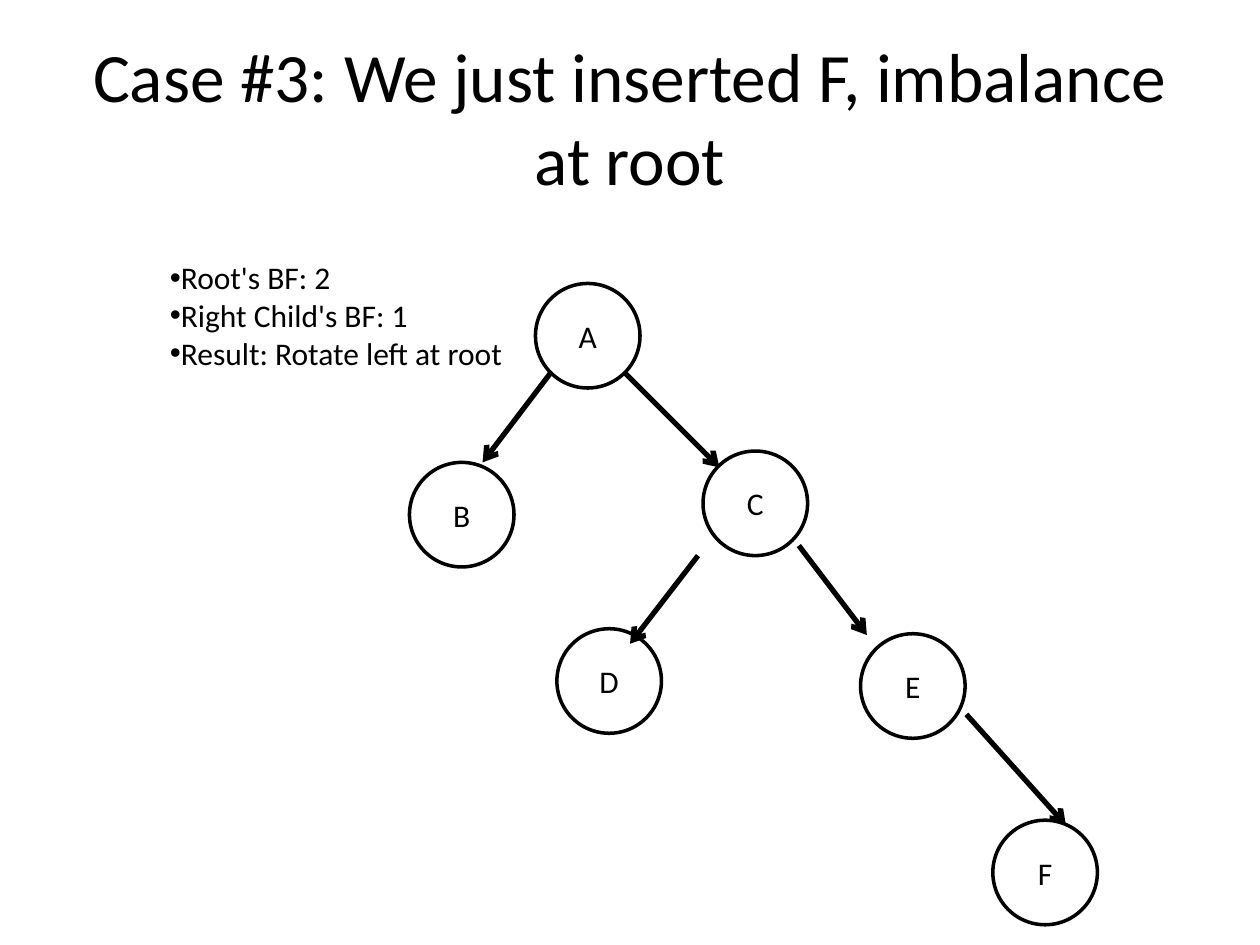
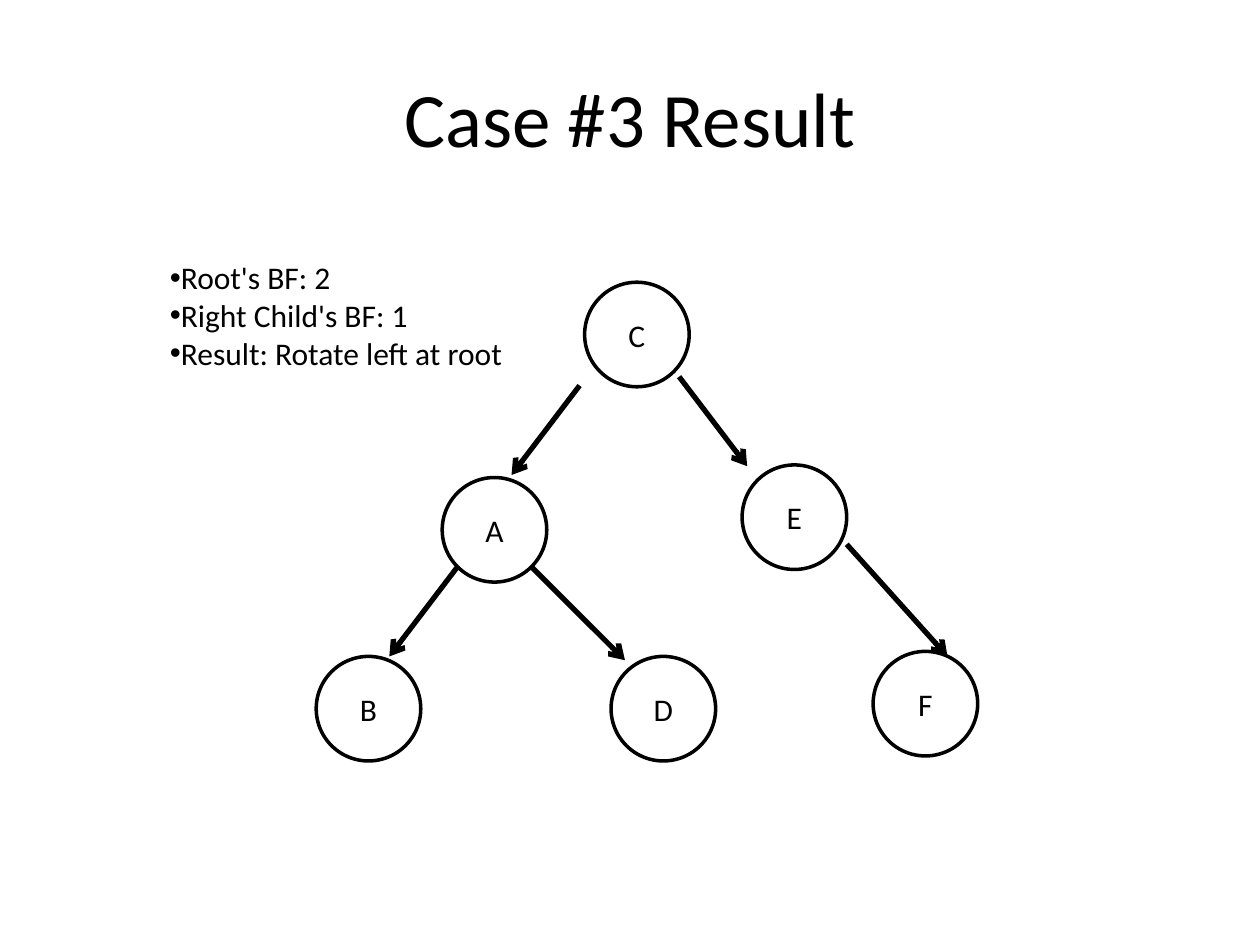
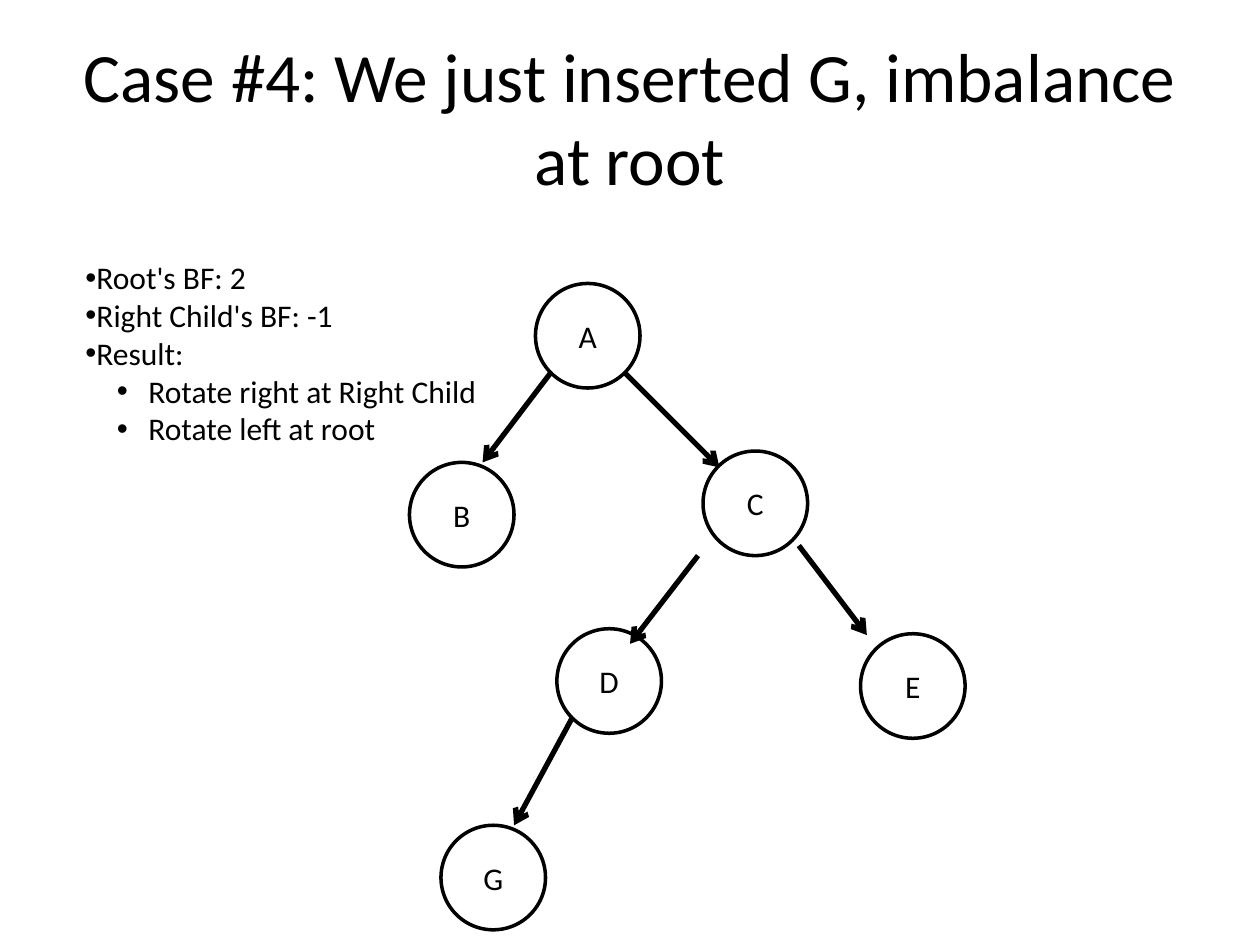
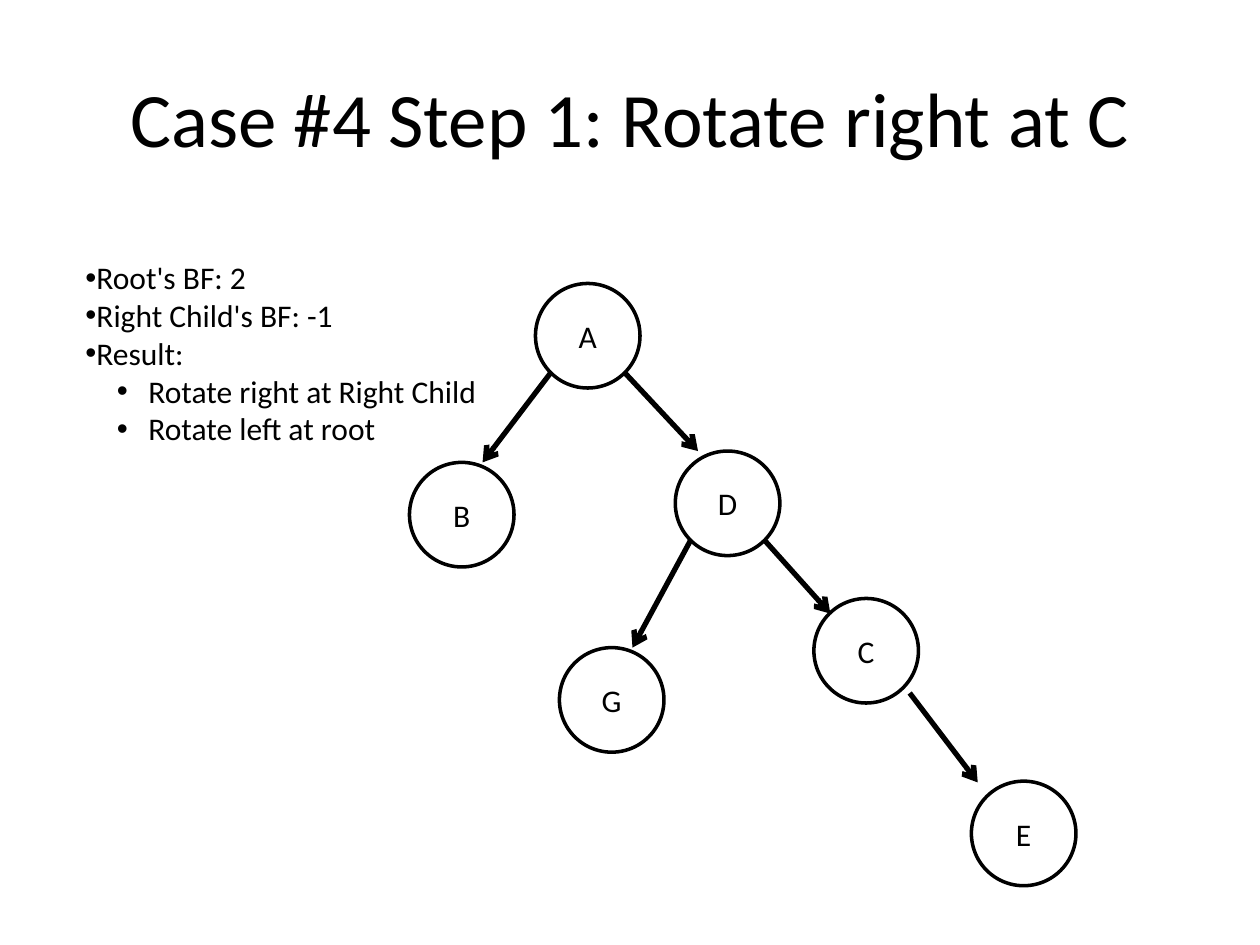
"""Build four slides that show AVL tree rotations for cases 3 and 4."""
from dataclasses import dataclass

from lxml import etree
from pptx import Presentation
from pptx.dml.color import RGBColor
from pptx.enum.shapes import MSO_CONNECTOR, MSO_SHAPE
from pptx.enum.text import MSO_ANCHOR, PP_ALIGN
from pptx.oxml.ns import qn
from pptx.util import Inches, Pt

CENTER = PP_ALIGN.CENTER
MIDDLE = MSO_ANCHOR.MIDDLE
OVAL = MSO_SHAPE.OVAL
STRAIGHT = MSO_CONNECTOR.STRAIGHT


@dataclass(frozen=True)
class Theme:
    font: str = "Calibri"
    ink: RGBColor = RGBColor(0, 0, 0)
    paper: RGBColor = RGBColor(255, 255, 255)
    title_size: float = 44
    long_title_size: float = 39.6
    body_size: float = 18
    node_line: float = 2
    arrow_line: float = 3
    node_diameter: float = 0.83


THEME = Theme()
TITLE_BOX = (0.5, 0.3, 9, 1.25)
SUB_BULLET_MARGIN = 0.5
SUB_BULLET_HANGING = 0.25

CASE_3_NOTES = {
    "box": (1.25, 2, 3.08, 1.31),
    "lines": [
        (0, "Root's BF: 2"),
        (0, "Right Child's BF: 1"),
        (0, "Result: Rotate left at root"),
    ],
}
CASE_4_NOTES = {
    "box": (0.58, 2, 3.75, 1.92),
    "lines": [
        (0, "Root's BF: 2"),
        (0, "Right Child's BF: -1"),
        (0, "Result:"),
        (1, "Rotate right at Right Child"),
        (1, "Rotate left at root"),
    ],
}

ROOT_NODES = {"A": (4.25, 2.25), "B": (3.25, 3.67)}
ROOT_ARROW = (4.37, 2.96, 3.83, 3.67)
START_NODES = {**ROOT_NODES, "C": (5.58, 3.58), "D": (4.42, 4.99), "E": (6.83, 5.03)}
START_ARROWS = [
    ROOT_ARROW,
    (4.96, 2.96, 5.71, 3.71),
    (5.54, 4.41, 5, 5.11),
    (6.34, 4.33, 6.88, 5.04),
]

TREES = [
    {
        "title": "Case #3: We just inserted F, imbalance at root",
        "title_size": THEME.long_title_size,
        "nodes": {**START_NODES, "F": (7.88, 6.51)},
        "arrows": [*START_ARROWS, (7.67, 5.67, 8.46, 6.55)],
        "notes": CASE_3_NOTES,
    },
    {
        "title": "Case #3 Result",
        "title_size": THEME.title_size,
        "nodes": {
            "A": (3.51, 3.79), "B": (2.51, 5.21), "C": (4.64, 2.24),
            "D": (4.85, 5.21), "E": (5.89, 3.69), "F": (6.93, 5.17),
        },
        "arrows": [
            (3.63, 4.5, 3.09, 5.21),
            (4.22, 4.5, 4.96, 5.24),
            (4.6, 3.06, 4.06, 3.77),
            (5.39, 2.99, 5.93, 3.7),
            (6.72, 4.32, 7.52, 5.21),
        ],
        "notes": CASE_3_NOTES,
    },
    {
        "title": "Case #4: We just inserted G, imbalance at root",
        "title_size": THEME.long_title_size,
        "nodes": {**START_NODES, "G": (3.5, 6.55)},
        "arrows": [*START_ARROWS, (4.54, 5.7, 4.08, 6.55)],
        "notes": CASE_4_NOTES,
    },
    {
        "title": "Case #4 Step 1: Rotate right at C",
        "title_size": THEME.title_size,
        "nodes": {
            **ROOT_NODES, "C": (6.46, 4.75), "D": (5.36, 3.58),
            "E": (7.71, 6.2), "G": (4.44, 5.14),
        },
        "arrows": [
            ROOT_ARROW,
            (4.96, 2.96, 5.54, 3.58),
            (6.07, 4.29, 6.59, 4.87),
            (7.22, 5.5, 7.76, 6.21),
            (5.48, 4.29, 5.02, 5.14),
        ],
        "notes": CASE_4_NOTES,
    },
]


def add_run(paragraph, text, size):
    run = paragraph.add_run()
    run.text = text
    run.font.name = THEME.font
    run.font.size = Pt(size)
    run.font.color.rgb = THEME.ink


def add_centered_text(shape, text, size):
    frame = shape.text_frame
    frame.word_wrap = True
    frame.vertical_anchor = MIDDLE
    paragraph = frame.paragraphs[0]
    paragraph.alignment = CENTER
    add_run(paragraph, text, size)


presentation = Presentation()
presentation.slide_width = Inches(10)
presentation.slide_height = Inches(7.5)
blank_layout = presentation.slide_layouts[6]

for tree in TREES:
    slide = presentation.slides.add_slide(blank_layout)
    slide.background.fill.solid()
    slide.background.fill.fore_color.rgb = THEME.paper

    title = slide.shapes.add_textbox(*map(Inches, TITLE_BOX))
    add_centered_text(title, tree["title"], tree["title_size"])

    for label, (left, top) in tree["nodes"].items():
        diameter = Inches(THEME.node_diameter)
        node = slide.shapes.add_shape(OVAL, Inches(left), Inches(top), diameter, diameter)
        node.shadow.inherit = False
        node.fill.background()
        node.line.color.rgb = THEME.ink
        node.line.width = Pt(THEME.node_line)
        add_centered_text(node, label, THEME.body_size)

    for ends in tree["arrows"]:
        arrow = slide.shapes.add_connector(STRAIGHT, *map(Inches, ends))
        arrow.line.color.rgb = THEME.ink
        arrow.line.width = Pt(THEME.arrow_line)
        etree.SubElement(arrow.line._get_or_add_ln(), qn("a:tailEnd"), type="arrow")
        etree.SubElement(arrow._element.spPr, qn("a:effectLst"))

    notes = slide.shapes.add_textbox(*map(Inches, tree["notes"]["box"]))
    frame = notes.text_frame
    frame.word_wrap = True
    for index, (level, text) in enumerate(tree["notes"]["lines"]):
        paragraph = frame.add_paragraph() if index else frame.paragraphs[0]
        paragraph.level = level
        properties = paragraph._p.get_or_add_pPr()
        properties.set("marL", str(Inches(SUB_BULLET_MARGIN * level)))
        properties.set("indent", str(Inches(-SUB_BULLET_HANGING * level)))
        etree.SubElement(properties, qn("a:buFont"), typeface="Arial")
        etree.SubElement(properties, qn("a:buChar"), char="•")
        add_run(paragraph, text, THEME.body_size)

presentation.save("out.pptx")
